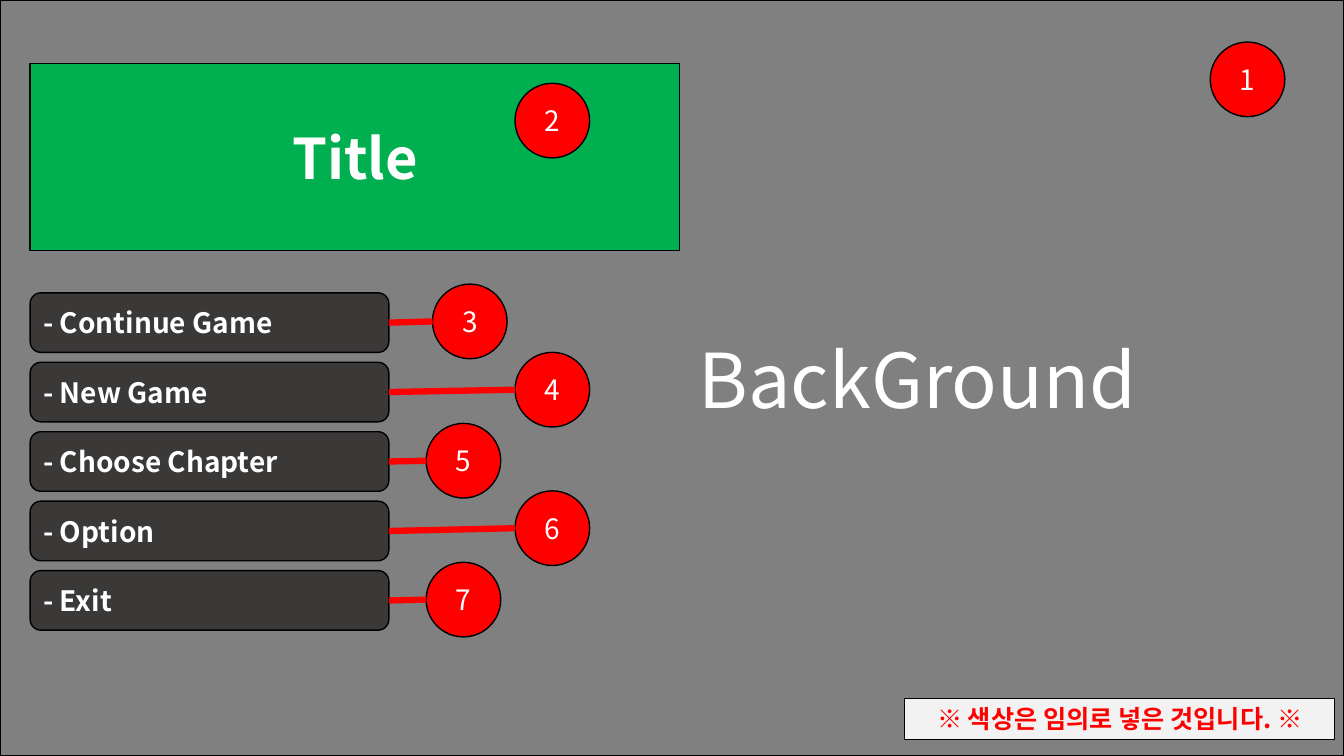
from dataclasses import dataclass

from lxml.etree import SubElement
from pptx import Presentation
from pptx.dml.color import RGBColor
from pptx.enum.shapes import MSO_CONNECTOR, MSO_SHAPE
from pptx.enum.text import MSO_ANCHOR, MSO_AUTO_SIZE, PP_ALIGN
from pptx.oxml.ns import qn
from pptx.util import Cm, Pt


@dataclass(frozen=True)
class Theme:
    font: str = "Noto Sans CJK KR"
    backdrop: str = "808080"
    banner: str = "00B050"
    button: str = "3B3838"
    paper: str = "F2F2F2"
    accent: str = "FF0000"
    outline: str = "000000"
    light: str = "FFFFFF"
    backdrop_size: int = 54
    banner_size: int = 40
    label_size: int = 20
    note_size: int = 18


SLIDE_WIDTH, SLIDE_HEIGHT = 33.87, 19.05
MARGIN = 0.76
BUTTON_TOP, BUTTON_WIDTH, BUTTON_HEIGHT, BUTTON_PITCH = 7.38, 9.04, 1.5, 1.75
CALLOUT_SIZE = 1.88

# Button label, then left and top of its numbered callout
MENU = [
    ("- Continue Game", 10.9, 7.16),
    ("- New Game", 12.98, 8.88),
    ("- Choose Chapter", 10.74, 10.67),
    ("- Option", 12.98, 12.37),
    ("- Exit", 10.74, 14.17),
]


class Screen:
    def __init__(self, slide, theme):
        self.slide = slide
        self.theme = theme

    def paint(self, shape, fill, outline_width=1):
        shape.fill.solid()
        shape.fill.fore_color.rgb = RGBColor.from_string(fill)
        shape.line.color.rgb = RGBColor.from_string(self.theme.outline)
        shape.line.width = Pt(outline_width)

    def add_label(self, shape, text, size, color=None, bold=False,
                  align=PP_ALIGN.CENTER, anchor=MSO_ANCHOR.MIDDLE):
        frame = shape.text_frame
        frame.word_wrap = True
        frame.vertical_anchor = anchor
        paragraph = frame.paragraphs[0]
        paragraph.alignment = align
        run = paragraph.add_run()
        run.text = text
        run.font.name = self.theme.font
        run.font.size = Pt(size)
        run.font.bold = bold
        run.font.color.rgb = RGBColor.from_string(color or self.theme.light)
        SubElement(run.font._element, qn("a:ea"), typeface=self.theme.font)

    def shape(self, kind, left, top, width, height, fill):
        shape = self.slide.shapes.add_shape(
            kind, Cm(left), Cm(top), Cm(width), Cm(height))
        shape.shadow.inherit = False
        self.paint(shape, fill)
        return shape

    def backdrop(self, text):
        backdrop = self.shape(MSO_SHAPE.RECTANGLE, 0, 0, SLIDE_WIDTH,
                              SLIDE_HEIGHT, self.theme.backdrop)
        backdrop.text_frame.margin_left = Cm(12.62)
        self.add_label(backdrop, text, self.theme.backdrop_size)
        self.slide.shapes.title._element.addprevious(backdrop._element)

    def banner(self, text, left, top, width, height):
        """Turn the title placeholder into a rounded banner."""
        title = self.slide.shapes.title
        title.left, title.top = Cm(left), Cm(top)
        title.width, title.height = Cm(width), Cm(height)
        outline = SubElement(title._element.spPr, qn("a:prstGeom"), prst="roundRect")
        adjustments = SubElement(outline, qn("a:avLst"))
        SubElement(adjustments, qn("a:gd"), name="adj", fmla="val 5900")
        self.paint(title, self.theme.banner)
        self.add_label(title, text, self.theme.banner_size, bold=True)

    def button(self, text, top):
        button = self.shape(MSO_SHAPE.ROUNDED_RECTANGLE, MARGIN, top,
                            BUTTON_WIDTH, BUTTON_HEIGHT, self.theme.button)
        button.adjustments[0] = 0.18
        self.add_label(button, text, self.theme.label_size, bold=True,
                       align=PP_ALIGN.LEFT)
        return button

    def callout(self, number, left, top):
        callout = self.shape(MSO_SHAPE.OVAL, left, top, CALLOUT_SIZE,
                             CALLOUT_SIZE, self.theme.accent)
        self.add_label(callout, str(number), self.theme.label_size)
        return callout

    def link(self, button, callout):
        middle = callout.top + callout.height // 2
        link = self.slide.shapes.add_connector(
            MSO_CONNECTOR.STRAIGHT, button.left + button.width, middle,
            callout.left, middle)
        link.begin_connect(button, 3)
        link.line.color.rgb = RGBColor.from_string(self.theme.accent)
        link.line.width = Pt(4.5)
        SubElement(link._element.spPr, qn("a:effectLst"))

    def note(self, text, left, top, width, height):
        note = self.slide.shapes.add_textbox(
            Cm(left), Cm(top), Cm(width), Cm(height))
        self.paint(note, self.theme.paper, 0.75)
        self.add_label(note, text, self.theme.note_size, self.theme.accent,
                       bold=True, anchor=MSO_ANCHOR.TOP)
        note.text_frame.auto_size = MSO_AUTO_SIZE.SHAPE_TO_FIT_TEXT


def main():
    presentation = Presentation()
    presentation.slide_width = Cm(SLIDE_WIDTH)
    presentation.slide_height = Cm(SLIDE_HEIGHT)
    title_only = presentation.slide_layouts[5]
    screen = Screen(presentation.slides.add_slide(title_only), Theme())

    screen.backdrop("BackGround")
    screen.banner("Title", MARGIN, 1.6, 16.37, 4.72)
    screen.callout(1, 30.5, 1.06)
    screen.callout(2, 12.98, 2.1)
    for row, (label, callout_left, callout_top) in enumerate(MENU):
        button = screen.button(label, BUTTON_TOP + row * BUTTON_PITCH)
        callout = screen.callout(row + 3, callout_left, callout_top)
        screen.link(button, callout)
    screen.note("※ 색상은 임의로 넣은 것입니다. ※", 22.8, 17.6, 10.84, 1.03)

    presentation.save("out.pptx")


if __name__ == "__main__":
    main()
